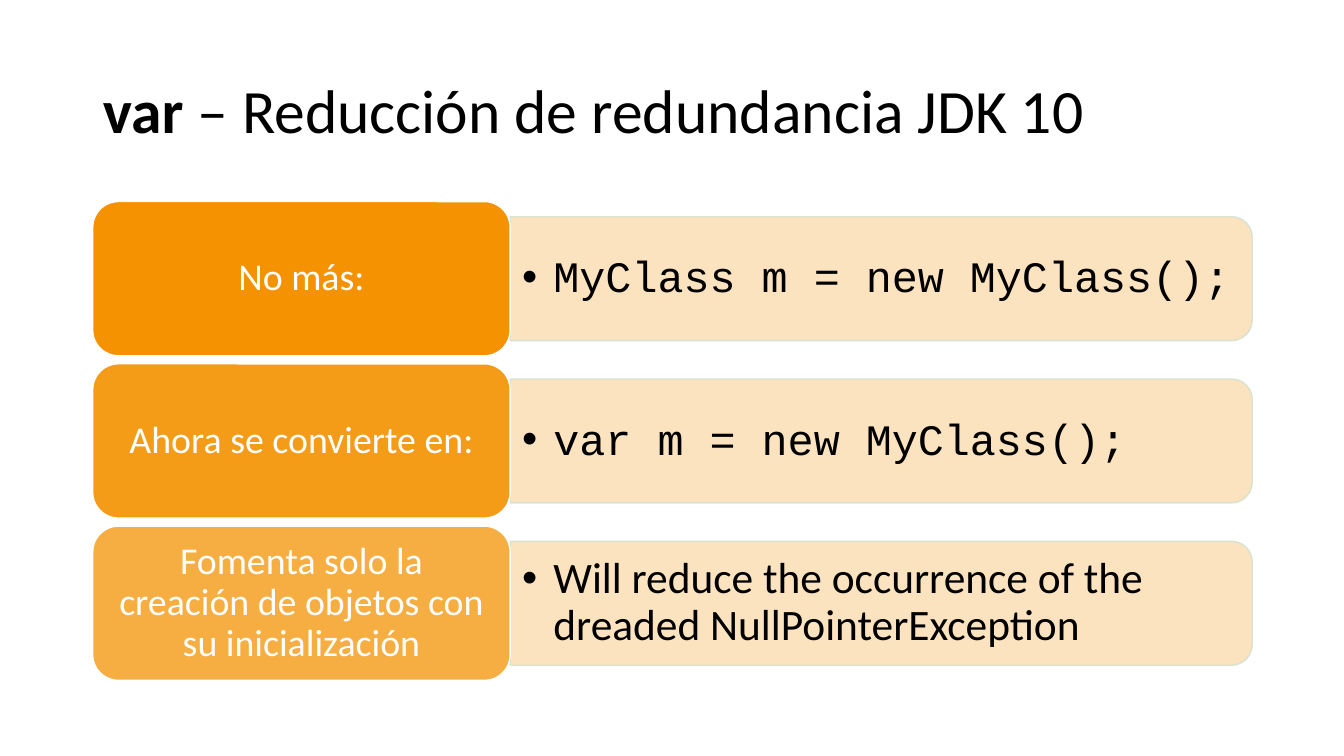
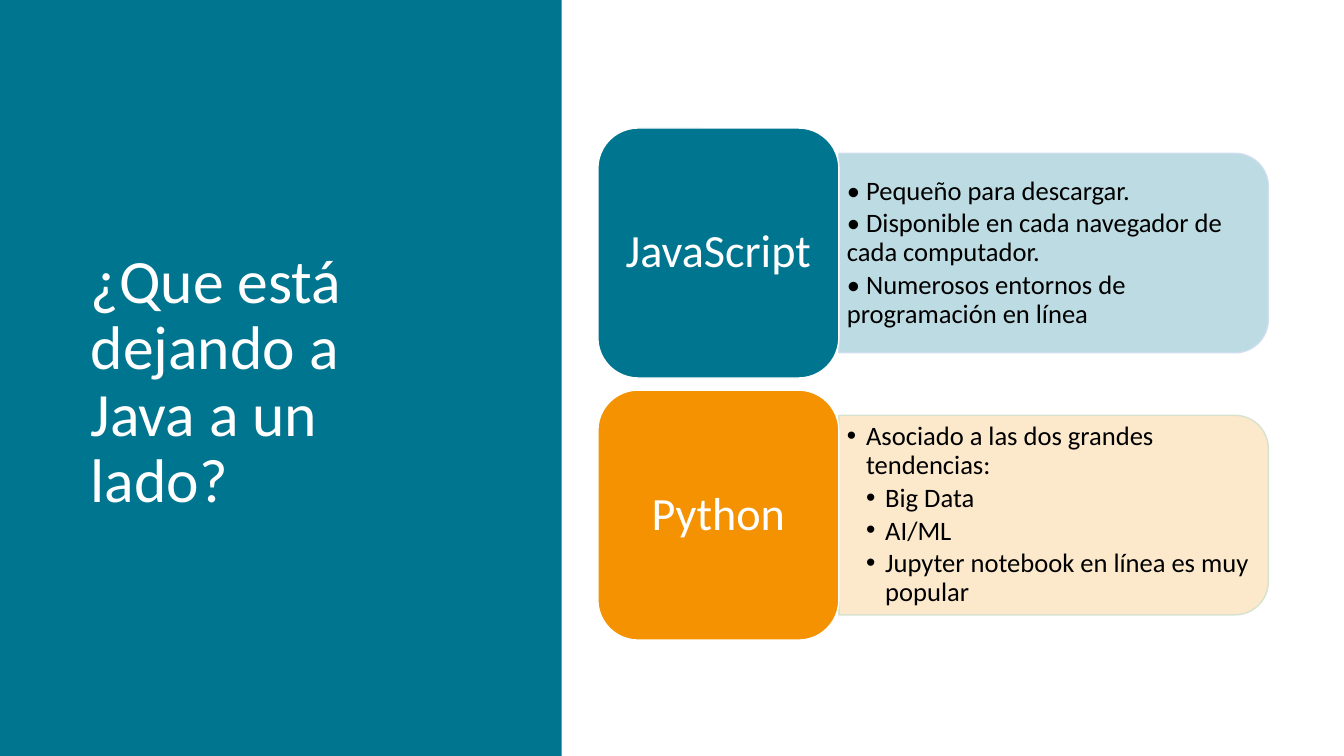
from lxml import etree
from pptx import Presentation
from pptx.dml.color import RGBColor
from pptx.enum.shapes import MSO_SHAPE
from pptx.enum.text import MSO_ANCHOR, MSO_AUTO_SIZE, PP_ALIGN
from pptx.oxml.ns import qn
from pptx.util import Inches, Pt

ROUNDED, HALF_ROUNDED = MSO_SHAPE.ROUNDED_RECTANGLE, MSO_SHAPE.ROUND_2_SAME_RECTANGLE
RECTANGLE = MSO_SHAPE.RECTANGLE
LEFT, CENTER = PP_ALIGN.LEFT, PP_ALIGN.CENTER
MIDDLE, NO_FIT = MSO_ANCHOR.MIDDLE, MSO_AUTO_SIZE.NONE

ORANGE, TEAL, BLACK, WHITE = "F49201", "007590", "000000", "FFFFFF"
SANS, MONO = "Calibri", "Courier New"
CORNER = 0.167
LINE_OPACITY = 90

# Content: a row is label, label colour and opacity, panel opacity and outline,
# panel font and items; an item is its bullet level (0 for none) and its text
PAGES = [
    {
        "title": [[("var", True), (" – Reducción de redundancia JDK 10", False)]],
        "title_box": (0.92, 0.4, 12.02, 1.45), "title_color": BLACK, "band": None,
        "left": 0.92, "top": 2, "pitch": 1.61,
        "label": (4.14, 1.53), "label_size": 27,
        "panel": (7.36, 1.23), "panel_size": 31, "margin": 0.12, "indent": 0.31,
        "rows": [
            ("No más:", ORANGE, 100, 25, "D4E2CE", MONO,
             [(1, "MyClass m = new MyClass();")]),
            ("Ahora se convierte en:", ORANGE, 91, 25, "D4E2CE", MONO,
             [(1, "var m = new MyClass();")]),
            ("Fomenta solo la creación de objetos con su inicialización",
             ORANGE, 74, 25, "D4E2CE", SANS,
             [(1, "Will reduce the occurrence of the dreaded NullPointerException")]),
        ],
    },
    {
        "title": [[("¿Que está", False)], [("dejando a Java a un lado?", False)]],
        "title_box": (0.8, 1.01, 3.39, 5.58), "title_color": WHITE,
        "band": (0, 0, 5.57, 7.5),
        "left": 5.93, "top": 1.27, "pitch": 2.6,
        "label": (2.39, 2.48), "label_size": 33,
        "panel": (4.26, 1.98), "panel_size": 19, "margin": 0.08, "indent": 0.19,
        "rows": [
            ("JavaScript", TEAL, 100, 26, "CFDEEF", SANS,
             [(0, "• Pequeño para descargar."),
              (0, "• Disponible en cada navegador de cada computador."),
              (0, "• Numerosos entornos de programación en línea")]),
            ("Python", ORANGE, 100, 20, "D3E1CC", SANS,
             [(1, "Asociado a las dos grandes tendencias:"),
              (2, "Big Data"),
              (2, "AI/ML"),
              (2, "Jupyter notebook en línea es muy popular")]),
        ],
    },
]


def paint(shape, fill, opacity=100, line=None):
    """Fill and outline a shape, with opacity in percent."""
    shape.shadow.inherit = False
    shape.fill.solid()
    shape.fill.fore_color.rgb = RGBColor.from_string(fill)
    if line:
        shape.line.color.rgb = RGBColor.from_string(line)
        shape.line.width = Pt(1)
    else:
        shape.line.fill.background()
    line_opacity = 100 if line == WHITE else LINE_OPACITY
    for color, percent in zip(shape.element.spPr.iter(qn("a:srgbClr")), (opacity, line_opacity)):
        if percent < 100:
            etree.SubElement(color, qn("a:alpha")).set("val", str(percent * 1000))


def write(frame, items, size, color, font=SANS, align=LEFT, margins=(0.1, 0.05), indent=0):
    """Write (bullet level, spans) items, each span a (text, bold) pair."""
    frame.word_wrap = True
    frame.auto_size = NO_FIT
    frame.vertical_anchor = MIDDLE
    frame.margin_left = frame.margin_right = Inches(margins[0])
    frame.margin_top = frame.margin_bottom = Inches(margins[1])
    for index, (level, spans) in enumerate(items):
        para = frame.add_paragraph() if index else frame.paragraphs[0]
        para.alignment = align
        para.line_spacing = 0.9
        para.space_before = Pt(2.9 if index and font == SANS and size < 40 else 0)
        if level:
            properties = para._p.get_or_add_pPr()
            properties.set("marL", str(Inches(indent * level)))
            properties.set("indent", str(-Inches(indent)))
            etree.SubElement(properties, qn("a:buFont")).set("typeface", "Arial")
            etree.SubElement(properties, qn("a:buChar")).set("char", "•")
        para.font.name = font
        para.font.size = Pt(size)
        para.font.color.rgb = RGBColor.from_string(color)
        for text, bold in spans:
            span = para.add_run()
            span.text = text
            if bold:
                span.font.bold = True


deck = Presentation()
deck.slide_width, deck.slide_height = Inches(13.33), Inches(7.5)

for content in PAGES:
    page = deck.slides.add_slide(deck.slide_layouts.get_by_name("Title Only"))

    # Title, with the side band behind it
    title = page.shapes.title
    title.left, title.top, title.width, title.height = map(Inches, content["title_box"])
    write(title.text_frame, [(0, spans) for spans in content["title"]], 44, content["title_color"])
    if content["band"]:
        band = page.shapes.add_shape(RECTANGLE, *map(Inches, content["band"]))
        paint(band, TEAL)
        title.element.addprevious(band.element)

    label_width, label_height = content["label"]
    panel_width, panel_height = content["panel"]
    margin = content["margin"]
    panel_left = content["left"] + label_width
    for index, row in enumerate(content["rows"]):
        caption, color, label_opacity, panel_opacity, outline, font, items = row
        top = content["top"] + index * content["pitch"]
        middle = top + label_height / 2

        # Panel: a quarter turn puts the rounded corners on the right
        panel = page.shapes.add_shape(
            HALF_ROUNDED,
            Inches(panel_left + (panel_width - panel_height) / 2), Inches(middle - panel_width / 2),
            Inches(panel_height), Inches(panel_width))
        panel.rotation = 90
        panel.adjustments[0] = CORNER
        paint(panel, color, panel_opacity, outline)

        # Panel text, upright and clear of the rounded corners
        inset = panel_height * 0.05
        box = page.shapes.add_textbox(
            Inches(panel_left), Inches(middle - panel_height / 2 + inset),
            Inches(panel_width - inset), Inches(panel_height - 2 * inset))
        write(box.text_frame, [(level, [(text, False)]) for level, text in items],
              content["panel_size"], BLACK, font, margins=(margin, margin / 2),
              indent=content["indent"])

        # Label
        label = page.shapes.add_shape(
            ROUNDED, Inches(content["left"]), Inches(top), Inches(label_width), Inches(label_height))
        label.adjustments[0] = CORNER
        paint(label, color, label_opacity, WHITE)
        write(label.text_frame, [(0, [(caption, False)])], content["label_size"], WHITE,
              align=CENTER, margins=(0.11, 0.06))

deck.save("out.pptx")
